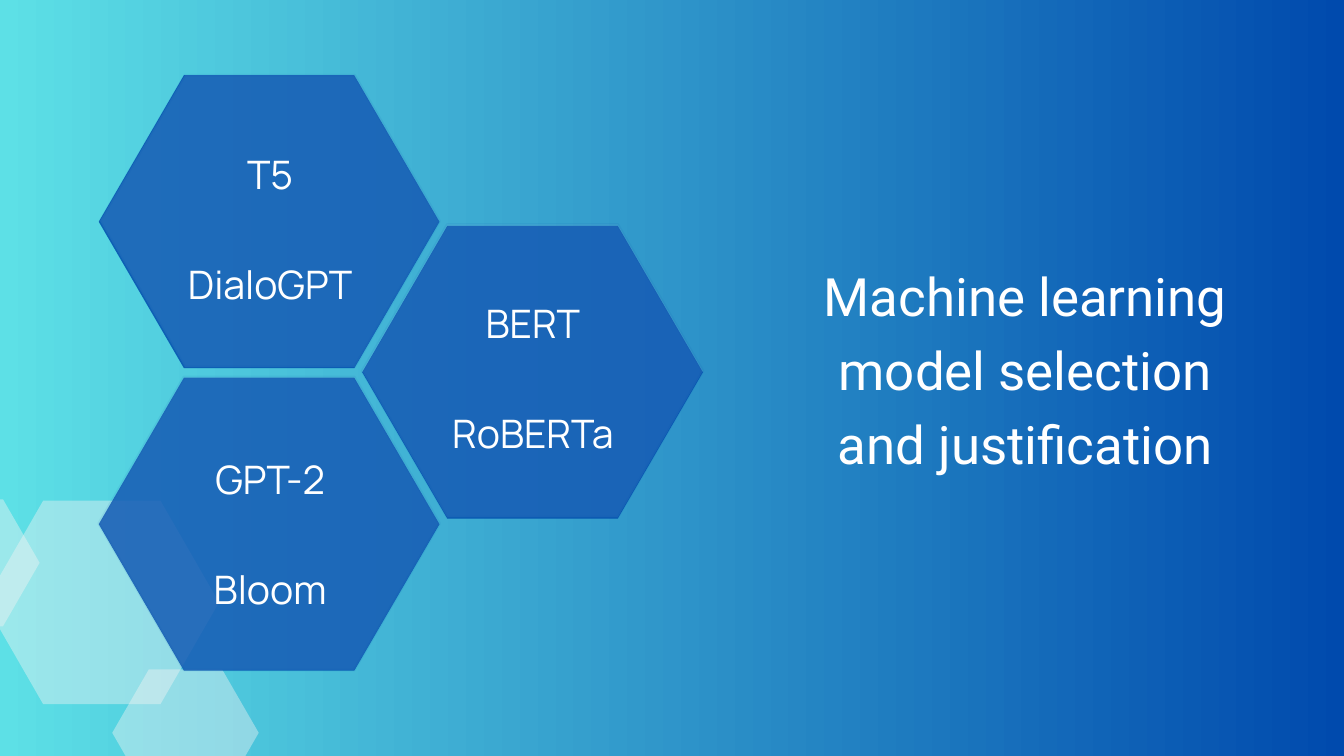
from dataclasses import dataclass

from lxml import etree
from pptx import Presentation
from pptx.dml import color
from pptx.enum import shapes, text
from pptx.oxml import ns
from pptx import util as u

PX = 9144  # EMU per px, 100 px to the inch


@dataclass(frozen=True)
class Theme:
    sky: str = "5DE0E6"
    deep: str = "004AAD"
    navy: str = "024EAE"
    pale: str = "F4F4F4"
    white: str = "FFFFFF"
    head: str = "Roboto"
    body: str = "Manrope"
    head_pt: float = 56.6
    head_line: float = 79.3
    body_pt: float = 42
    body_line: float = 58.8


T = Theme()


def px(*nums):
    return [u.Emu(n * PX) for n in nums]


def rgb(code):
    return color.RGBColor.from_string(code)


def paint_back(slide):
    fill = slide.background.fill
    fill.gradient()
    fill.gradient_angle = 0
    for stop, code, pos in zip(fill.gradient_stops, (T.sky, T.deep), (0, 1)):
        stop.color.rgb = rgb(code)
        stop.position = pos


def add_hex(slide, box, code, alpha, edge=None):
    """Regular hexagon; alpha is the opacity of fill and edge in percent."""
    hexa = slide.shapes.add_shape(shapes.MSO_SHAPE.HEXAGON, *px(*box))
    hexa.shadow.inherit = False
    hexa.adjustments[0] = box[2] / box[3] / 4  # corners at a quarter of the width
    hexa.fill.solid()
    hexa.fill.fore_color.rgb = rgb(code)
    if edge:
        hexa.line.color.rgb = rgb(edge)
        hexa.line.width = u.Pt(3)
    else:
        hexa.line.fill.background()
    for clr in hexa._element.spPr.iter(ns.qn("a:srgbClr")):
        etree.SubElement(clr, ns.qn("a:alpha"), val=str(alpha * 1000))


def write(shape, lines, font, size, pitch, gap=0):
    """Centred lines with a fixed line pitch, gap points apart."""
    frame = shape.text_frame
    frame.word_wrap = True
    frame.auto_size = text.MSO_AUTO_SIZE.NONE
    frame.vertical_anchor = text.MSO_ANCHOR.TOP
    frame.margin_left = frame.margin_right = 0
    frame.margin_top = frame.margin_bottom = 0
    for i, line in enumerate(lines):
        para = frame.add_paragraph() if i else frame.paragraphs[0]
        para.alignment = text.PP_ALIGN.CENTER
        para.line_spacing = u.Pt(pitch)
        para.space_before = u.Pt(gap if i else 0)
        run = para.add_run()
        run.text = line
        run.font.name = font
        run.font.size = u.Pt(size)
        run.font.color.rgb = rgb(T.white)


def add_title(slide, box, words):
    title = slide.shapes.title
    title.left, title.top, title.width, title.height = px(*box)
    write(title, [words], T.head, T.head_pt, T.head_line)


def add_label(slide, box, names):
    label = slide.shapes.add_textbox(*px(*box))
    write(label, names, T.body, T.body_pt, T.body_line, gap=T.body_line)


def main():
    deck = Presentation()
    deck.slide_width, deck.slide_height = px(2000, 1125)
    slide = deck.slides.add_slide(deck.slide_layouts[5])
    paint_back(slide)

    # Pale hexagons in the lower left corner
    for box in ((-23, 745, 349, 303), (167, 996, 218, 189), (-159, 743, 218, 189)):
        add_hex(slide, box, T.pale, 41)

    add_title(slide, (1212, 377, 628, 326),
              "Machine learning model selection and justification")

    # Model groups: hexagon, thin veil over it, label box, names
    groups = (
        ((147, 112, 507, 436), (149, 112, 505, 434),
         (222, 212, 360, 245), ("T5", "DialoGPT")),
        ((539, 336, 507, 436), (539, 334, 507, 436),
         (655, 434, 276, 245), ("BERT", "RoBERTa")),
        ((147, 562, 507, 436), (147, 561, 507, 436),
         (278, 666, 248, 245), ("GPT-2", "Bloom")),
    )
    for base, veil, box, names in groups:
        add_hex(slide, base, T.navy, 85)
        add_hex(slide, veil, T.white, 7, edge=T.navy)
        add_label(slide, box, names)

    deck.save("out.pptx")


if __name__ == "__main__":
    main()
